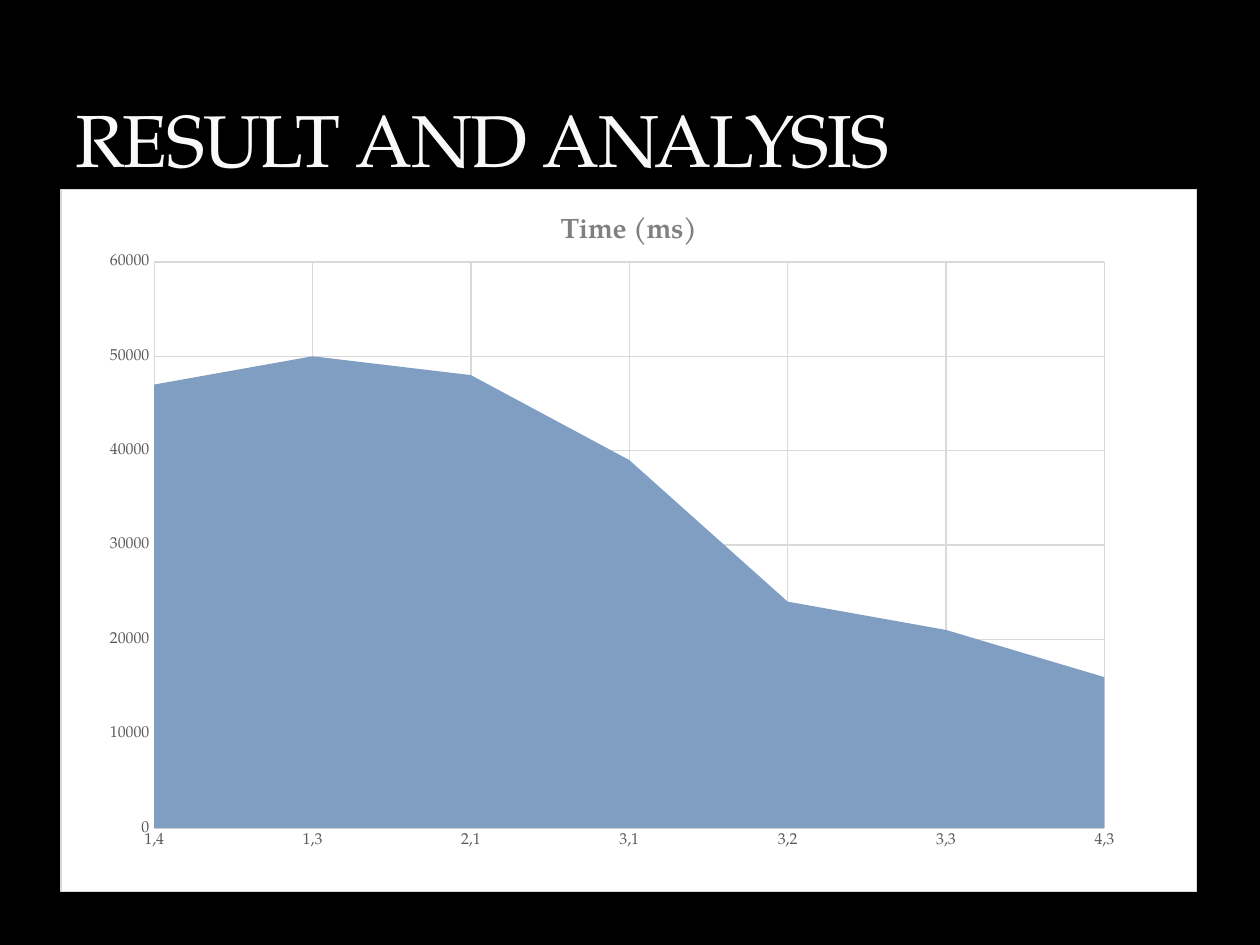
from lxml import etree
from pptx import Presentation
from pptx.chart import data
from pptx.dml.color import RGBColor
from pptx.enum import chart as ch, text
from pptx.oxml import ns, parse_xml
from pptx.util import Inches, Pt

BLACK = RGBColor(0x00, 0x00, 0x00)
WHITE = RGBColor(0xFF, 0xFF, 0xFF)
TITLE = RGBColor(0xF9, 0xF9, 0xF9)
OUTLINE = RGBColor(0x3C, 0x44, 0x22)
GRID = RGBColor(0xD9, 0xD9, 0xD9)
LABEL = RGBColor(0x59, 0x59, 0x59)
HEADING = RGBColor(0x80, 0x80, 0x80)
AREA = RGBColor(0x80, 0x9E, 0xC2)
FONT = "TeX Gyre Pagella"

CATEGORIES = ["1,4", "1,3", "2,1", "3,1", "3,2", "3,3", "4,3"]
TIMES = [47000, 50000, 48000, 39000, 24000, 21000, 16000]
PLOT_BOX = {"x": 0.082, "y": 0.103, "w": 0.837, "h": 0.807}


def format_font(font, size, color, bold=False):
    font.name = FONT
    font.size = Pt(size)
    font.bold = bold
    font.color.rgb = color


def write_text(tf, words, size, color, bold=False, align=None):
    p = tf.paragraphs[0]
    p.alignment = align
    r = p.add_run()
    r.text = words
    format_font(r.font, size, color, bold)
    return r


def format_line(line):
    line.color.rgb = GRID
    line.width = Pt(0.75)


def panel_fill(border=False):
    line = (f'<a:ln w="9525"><a:solidFill><a:srgbClr val="{GRID}"/></a:solidFill></a:ln>'
            if border else "<a:ln><a:noFill/></a:ln>")
    return parse_xml(f'<c:spPr {ns.nsdecls("c", "a")}><a:solidFill>'
                     f'<a:srgbClr val="{WHITE}"/></a:solidFill>{line}</c:spPr>')


def plot_layout():
    modes = "".join(f'<c:{k}Mode val="edge"/>' for k in "xy")
    sizes = "".join(f'<c:{k} val="{v}"/>' for k, v in PLOT_BOX.items())
    return parse_xml(f'<c:layout {ns.nsdecls("c")}><c:manualLayout>'
                     f'<c:layoutTarget val="inner"/>{modes}{sizes}'
                     f'</c:manualLayout></c:layout>')


def place_title(s, left, top, width, height):
    sp = s.shapes.title
    sp.left, sp.top, sp.width, sp.height = left, top, width, height
    tf = sp.text_frame
    tf.word_wrap = True
    tf.vertical_anchor = text.MSO_ANCHOR.BOTTOM
    r = write_text(tf, "RESULT AND ANALYSIS", 42, TITLE, align=text.PP_ALIGN.LEFT)
    props = r.font._element
    props.set("spc", "-100")
    props.insert(0, parse_xml(
        f'<a:ln {ns.nsdecls("a")} w="3175"><a:solidFill><a:srgbClr val="{OUTLINE}">'
        f'<a:alpha val="25000"/></a:srgbClr></a:solidFill></a:ln>'))


def format_axis(axis):
    axis.has_major_gridlines = True
    axis.major_tick_mark = axis.minor_tick_mark = ch.XL_TICK_MARK.NONE
    format_line(axis.major_gridlines.format.line)
    format_line(axis.format.line)
    format_font(axis.tick_labels.font, 9, LABEL)


def place_time_chart(s, left, top, width, height):
    cd = data.CategoryChartData(number_format="General")
    cd.categories = CATEGORIES
    cd.add_series("Time (ms)", TIMES)
    chart = s.shapes.add_chart(ch.XL_CHART_TYPE.AREA, left, top, width, height, cd).chart
    format_font(chart.font, 10, WHITE)
    chart.has_legend = False
    chart.has_title = True
    chart.chart_title.include_in_layout = False
    write_text(chart.chart_title.text_frame, "Time (ms)", 16, HEADING, bold=True)

    plot = chart.plots[0]
    plot.vary_by_categories = False
    fill = plot.series[0].format.fill
    fill.solid()
    fill.fore_color.rgb = AREA

    for axis in (chart.category_axis, chart.value_axis):
        format_axis(axis)
    values = chart.value_axis
    values.minimum_scale, values.maximum_scale, values.major_unit = 0, 60000, 10000
    values._element.find(ns.qn("c:crossBetween")).set("val", "midCat")

    root = chart._chartSpace
    root.find(ns.qn("c:chart")).addnext(panel_fill(border=True))
    area = root.find(".//" + ns.qn("c:plotArea"))
    for old in area.findall(ns.qn("c:layout")):
        area.remove(old)
    area.insert(0, plot_layout())
    area.append(panel_fill())


def build_result_slide(prs):
    s = prs.slides.add_slide(prs.slide_layouts[5])
    bg = s.background.fill
    bg.solid()
    bg.fore_color.rgb = BLACK
    place_title(s, Inches(0.5), Inches(0.17), Inches(9), Inches(1.33))
    place_time_chart(s, Inches(0.48), Inches(1.5), Inches(9.02), Inches(5.58))


prs = Presentation()
prs.slide_width, prs.slide_height = Inches(10), Inches(7.5)
build_result_slide(prs)
prs.save("out.pptx")
